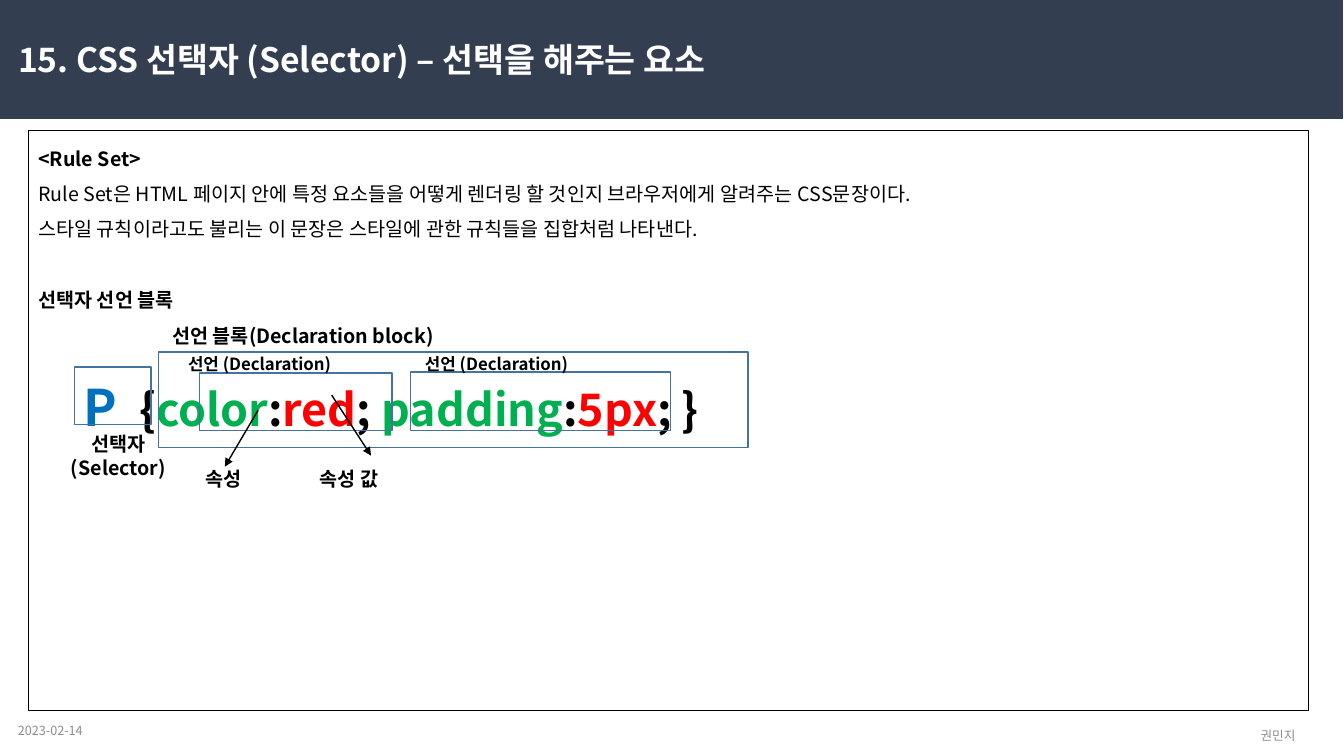
from lxml.etree import SubElement
from pptx import Presentation
from pptx.dml.color import RGBColor
from pptx.enum.shapes import MSO_CONNECTOR, MSO_SHAPE
from pptx.enum.text import MSO_ANCHOR, MSO_AUTO_SIZE, PP_ALIGN
from pptx.oxml.ns import qn
from pptx.util import Pt

FONT = "Noto Sans CJK KR"
NAVY = RGBColor(0x33, 0x3F, 0x50)
WHITE = RGBColor(0xFF, 0xFF, 0xFF)
BLACK = RGBColor(0, 0, 0)
GRAY = RGBColor(0x8C, 0x8C, 0x8C)
STEEL = RGBColor(0x43, 0x73, 0x9E)
BLUE = RGBColor(0, 0x70, 0xC0)
GREEN = RGBColor(0, 0xB0, 0x50)
RED = RGBColor(0xFF, 0, 0)
EMU_PER_PX = 9144


def px(*lengths):
    return [length * EMU_PER_PX for length in lengths]


class SlideBuilder:
    def __init__(self, deck):
        self.page = deck.slides.add_slide(deck.slide_layouts[1])

    def style(self, paragraph, size, color=BLACK, bold=True, align=PP_ALIGN.LEFT):
        paragraph.alignment = align
        font = paragraph.font
        font.size, font.bold, font.name = Pt(size), bold, FONT
        font.color.rgb = color
        defaults = paragraph._p.pPr.find(qn("a:defRPr"))
        SubElement(defaults, qn("a:ea")).set("typeface", FONT)

    def place(self, box, area):
        box.left, box.top, box.width, box.height = px(*area)

    def title(self, text, area):
        box = self.page.shapes.title
        self.place(box, area)
        frame = box.text_frame
        frame.text = text
        frame.word_wrap = False
        frame.auto_size = MSO_AUTO_SIZE.NONE
        frame.vertical_anchor = MSO_ANCHOR.TOP
        self.style(frame.paragraphs[0], 24, WHITE)

    def body(self, lines, formula, area):
        box = self.page.placeholders[1]
        self.place(box, area)
        box.line.color.rgb, box.line.width = BLACK, Pt(0.75)
        frame = box.text_frame
        frame.auto_size = MSO_AUTO_SIZE.NONE
        frame.text = "\n".join(text for text, bold, gap in lines)
        for paragraph, (text, bold, gap) in zip(frame.paragraphs, lines):
            self.body_paragraph(paragraph, 14, bold, gap)
        paragraph = frame.add_paragraph()
        for text, color, size in formula:
            span = paragraph.add_run()
            span.text = text
            span.font.color.rgb, span.font.size = color, Pt(size)
        self.body_paragraph(paragraph, 32, True, 25, 45, 117)

    def body_paragraph(self, paragraph, size, bold, gap, indent=0, tab=None):
        paragraph.line_spacing = 1.5
        paragraph.space_before = Pt(gap)
        properties = paragraph._p.get_or_add_pPr()
        properties.set("marL", "0")
        properties.set("indent", str(indent * EMU_PER_PX))
        SubElement(properties, qn("a:buNone"))
        if tab:
            stop = SubElement(SubElement(properties, qn("a:tabLst")), qn("a:tab"))
            stop.set("pos", str(tab * EMU_PER_PX))
            stop.set("algn", "l")
        self.style(paragraph, size, bold=bold)

    def band(self, area, color):
        box = self.page.shapes.add_shape(MSO_SHAPE.RECTANGLE, *px(*area))
        box.shadow.inherit = False
        box.fill.solid()
        box.fill.fore_color.rgb = color
        box.line.fill.background()
        self.page.shapes._spTree.insert(2, box._element)

    def frame(self, area):
        box = self.page.shapes.add_shape(MSO_SHAPE.RECTANGLE, *px(*area))
        box.shadow.inherit = False
        box.fill.background()
        box.line.color.rgb, box.line.width = STEEL, Pt(1)

    def label(self, text, area, size=14, color=BLACK, bold=True,
              align=PP_ALIGN.CENTER, anchor=MSO_ANCHOR.TOP):
        frame = self.page.shapes.add_textbox(*px(*area)).text_frame
        frame.word_wrap = True
        frame.vertical_anchor = anchor
        frame.text = text
        for paragraph in frame.paragraphs:
            self.style(paragraph, size, color, bold, align)

    def arrow(self, *ends):
        line = self.page.shapes.add_connector(MSO_CONNECTOR.STRAIGHT, *px(*ends))
        line.line.color.rgb, line.line.width = BLACK, Pt(1)
        SubElement(line.line._get_or_add_ln(), qn("a:tailEnd")).set("type", "triangle")
        SubElement(line._element.spPr, qn("a:effectLst"))


def main():
    deck = Presentation()
    deck.slide_width, deck.slide_height = px(1333, 750)
    slide = SlideBuilder(deck)

    slide.band((0, 0, 1332, 118), NAVY)
    slide.title("15. CSS 선택자 (Selector) – 선택을 해주는 요소", (8, 34, 752, 50))
    slide.body(
        [
            ("<Rule Set>", True, 0),
            ("Rule Set은 HTML 페이지 안에 특정 요소들을 어떻게 렌더링 할 것인지 "
             "브라우저에게 알려주는 CSS문장이다.", False, 0),
            ("스타일 규칙이라고도 불리는 이 문장은 스타일에 관한 규칙들을 "
             "집합처럼 나타낸다.", False, 0),
            ("선택자 선언 블록", True, 25),
        ],
        [
            ("P", BLUE, 36), ("\t{", BLACK, 32),
            ("color", GREEN, 32), (":", BLACK, 32), ("red", RED, 32), ("; ", BLACK, 32),
            ("padding", GREEN, 32), (":", BLACK, 32), ("5px", RED, 32), ("; }", BLACK, 32),
        ],
        (28, 129, 1270, 576),
    )

    for area in [(157, 349, 585, 95), (198, 370, 191, 57),
                 (407, 369, 258, 58), (74, 364, 76, 57)]:
        slide.frame(area)

    slide.label("선택자\n(Selector)", (59, 424, 117, 68))
    slide.label("선언 블록(Declaration block)", (155, 316, 291, 31))
    for left in (112, 347):
        slide.label("선언 (Declaration)", (left, 346, 291, 31), 12)
    slide.label("속성", (172, 458, 100, 31))
    slide.label("속성 값", (296, 458, 100, 31))
    slide.arrow(256, 407, 223, 463)
    slide.arrow(329, 392, 368, 452)

    slide.label("2023-02-14", (8, 705, 300, 40), 9, GRAY, False,
                PP_ALIGN.LEFT, MSO_ANCHOR.MIDDLE)
    slide.label("권민지", (1203, 710, 129, 40), 9, GRAY, False,
                anchor=MSO_ANCHOR.MIDDLE)
    deck.save("out.pptx")


if __name__ == "__main__":
    main()
